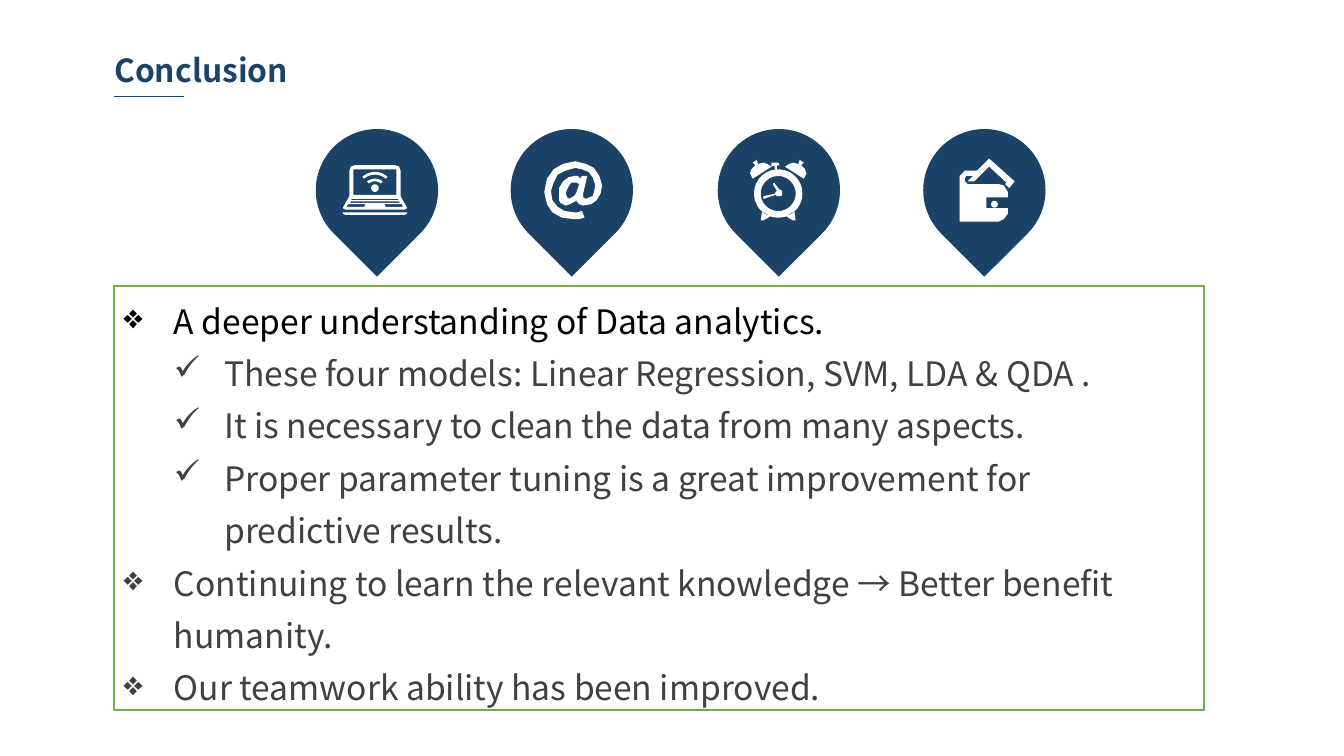
import math

import pptx
import pptx.dml.color
import pptx.enum.shapes
import pptx.enum.text
import pptx.oxml
import pptx.oxml.ns
import pptx.util

Pt = pptx.util.Pt
RGB = pptx.dml.color.RGBColor
SHAPE = pptx.enum.shapes.MSO_SHAPE
ANCHOR = pptx.enum.text.MSO_ANCHOR

NAVY = RGB(0x1B, 0x43, 0x67)
GREEN = RGB(0x70, 0xAD, 0x47)
GREY = RGB(0x40, 0x40, 0x40)
BLACK = RGB(0, 0, 0)
WHITE = RGB(255, 255, 255)
FONT = "Noto Sans CJK SC"
GRID = 0.72  # points per unit of the icon outlines
PIN_TOP, PIN_SIZE = 69.12, 65.5
PIN_LEFTS = (169.2, 273.6, 384.5, 494.6)

POINTS = [
    (0, "A deeper understanding of Data analytics.", BLACK),
    (1, "These four models: Linear Regression, SVM, LDA & QDA .", GREY),
    (1, "It is necessary to clean the data from many aspects.", GREY),
    (1, "Proper parameter tuning is a great improvement for predictive results.", GREY),
    (0, "Continuing to learn the relevant knowledge → Better benefit humanity.", GREY),
    (0, "Our teamwork ability has been improved.", GREY),
]


def arc(x, y, size, start=0, end=360):
    """Return points along an arc; angles in degrees, clockwise from the right."""
    turns = [math.radians(start + (end - start) * i / 48) for i in range(49)]
    return [(x + size * math.cos(t), y + size * math.sin(t)) for t in turns]


def band(x, y, outer, inner, start, end):
    return arc(x, y, outer, start, end) + arc(x, y, inner, end, start)


def flip(outline, axis):
    return [(2 * axis - x, y) for x, y in outline]


def laptop():
    pad = [(23, 58), (24, 56), (37, 56), (36, 58)]
    return [
        [(29, 27), (59, 27), (62, 28), (63, 31), (63, 50), (67, 57), (68, 59), (66, 60),
         (22, 60), (20, 59), (21, 57), (25, 50), (25, 31), (26, 28)],
        [(28, 30), (60, 30), (60, 49), (28, 49)],
        [(27, 52), (61, 52), (62, 53), (26, 53)],
        [(26, 54), (62, 54), (63, 55), (25, 55)],
        pad, flip(pad, 44),
        [(20, 62), (68, 62), (68, 63), (66, 64), (22, 64), (20, 63)],
        arc(44, 44, 2.8),
        band(44, 46, 9, 7, -130, -50),
        band(44, 46, 14, 12, -132, -48),
    ]


def at_sign():
    return [
        [(53, 35), (57, 35), (54, 48), (54, 51), (56, 52), (58, 51), (61, 50), (62, 47),
         (63, 42), (61, 36), (58, 32), (53, 30), (48, 29), (41, 31), (35, 34), (32, 40),
         (30, 46), (31, 53), (35, 58), (40, 61), (47, 62), (50, 62), (53, 61), (55, 66),
         (51, 67), (46, 67), (38, 66), (31, 62), (27, 56), (25, 47), (27, 37), (32, 30),
         (39, 26), (48, 24), (56, 26), (62, 29), (66, 35), (68, 42), (67, 48), (64, 53),
         (60, 56), (54, 57), (51, 56), (49, 54), (49, 52), (48, 54), (46, 55), (44, 56),
         (41, 57), (39, 56), (37, 55), (36, 53), (36, 50), (36, 44), (39, 39), (43, 36),
         (47, 35), (50, 35), (52, 37)],
        [(51, 41), (49, 40), (48, 40), (45, 40), (43, 43), (42, 45), (41, 48), (42, 51),
         (44, 52), (45, 51), (47, 50), (48, 49), (49, 47)],
    ]


def clock():
    bell = [(26, 37), (24, 33), (25, 30), (28, 27), (26, 25), (29, 23), (30, 26),
            (34, 25), (37, 26), (40, 28)]
    leg = [(33, 61), (32, 68), (34, 68), (39, 65)]
    return [
        arc(45, 48, 18), arc(45, 48, 13),
        bell, flip(bell, 45), leg, flip(leg, 45),
        [(43, 31), (42, 27), (40, 28), (40, 25), (45, 25), (46, 27), (44, 27), (44, 30)],
        [(43, 47), (43, 48), (34, 50), (34, 52), (43, 49), (44, 50), (47, 50), (48, 49),
         (48, 46), (46, 45), (42, 40), (41, 41), (44, 46)],
    ]


def wallet():
    return [
        [(33, 41), (56, 41), (60, 42), (63, 47), (63, 51), (47, 51), (47, 59), (63, 59),
         (63, 63), (60, 67), (56, 69), (27, 69), (27, 35), (30, 32), (31, 31), (40, 31),
         (49, 22), (68, 39), (64, 44), (61, 41), (62, 40), (49, 28), (38, 39), (33, 39),
         (37, 35), (32, 35), (31, 37), (31, 39)],
        arc(53, 56, 2.5),
    ]


def paint(shape, fill):
    shape.shadow.inherit = False
    shape.fill.solid()
    shape.fill.fore_color.rgb = fill
    shape.line.fill.background()


def style(para, size, color, bold=False):
    for run in para.runs:
        font = run.font
        font.name, font.size, font.bold = FONT, Pt(size), bold
        font.color.rgb = color


def inset(frame, side, edge):
    frame.margin_left = frame.margin_right = Pt(side)
    frame.margin_top = frame.margin_bottom = Pt(edge)


def add_title(slide):
    title = slide.shapes.title
    title.left, title.top, title.width, title.height = Pt(56.2), Pt(24.5), Pt(178), Pt(26)
    frame = title.text_frame
    frame.text = "Conclusion"
    frame.auto_size = pptx.enum.text.MSO_AUTO_SIZE.NONE
    frame.vertical_anchor = ANCHOR.MIDDLE
    inset(frame, 5, 3)
    para = frame.paragraphs[0]
    para.alignment = pptx.enum.text.PP_ALIGN.LEFT
    style(para, 17, NAVY, True)


def add_rule(slide):
    rule = slide.shapes.add_connector(
        pptx.enum.shapes.MSO_CONNECTOR.STRAIGHT, Pt(61.2), Pt(51.8), Pt(98.6), Pt(51.8))
    rule.line.color.rgb = NAVY
    rule.line.width = Pt(0.75)
    pptx.oxml.ns.qn("a:effectLst")
    rule._element.spPr.append(pptx.oxml.parse_xml(
        '<a:effectLst xmlns:a="http://schemas.openxmlformats.org/drawingml/2006/main"/>'))


def add_pin(slide, left, icon):
    pin = slide.shapes.add_shape(
        SHAPE.TEAR, Pt(left), Pt(PIN_TOP), Pt(PIN_SIZE), Pt(PIN_SIZE))
    pin.rotation = 135
    paint(pin, NAVY)
    fine = [[(x * 10, y * 10) for x, y in outline] for outline in icon]
    pen = slide.shapes.build_freeform(*fine[0][0], scale=Pt(GRID) / 10)
    pen.add_line_segments(fine[0][1:])
    for outline in fine[1:]:
        pen.move_to(*outline[0])
        pen.add_line_segments(outline[1:])
    paint(pen.convert_to_shape(Pt(left), Pt(PIN_TOP)), WHITE)


def add_bullet(para, mark, indent):
    props = para._p.get_or_add_pPr()
    props.set("marL", str(Pt(indent)))
    props.set("indent", str(-Pt(27)))
    bullet = props.makeelement(pptx.oxml.ns.qn("a:buChar"), {"char": mark})
    props.append(bullet)


def add_points(slide):
    box = slide.shapes.add_shape(SHAPE.RECTANGLE, Pt(61.2), Pt(153.4), Pt(584), Pt(226.8))
    paint(box, WHITE)
    box.line.color.rgb = GREEN
    box.line.width = Pt(1)
    frame = box.text_frame
    frame.word_wrap = True
    frame.vertical_anchor = ANCHOR.MIDDLE
    inset(frame, 5, 0)
    frame.text = "\n".join(text for _, text, _ in POINTS)
    for para, (level, _, color) in zip(frame.paragraphs, POINTS):
        para.level = level
        para.alignment = pptx.enum.text.PP_ALIGN.LEFT
        para.line_spacing = 1.3
        add_bullet(para, "❖✓"[level], 27 * (level + 1))
        style(para, 18, color)


def main():
    deck = pptx.Presentation()
    deck.slide_width, deck.slide_height = Pt(720), Pt(405)
    slide = deck.slides.add_slide(deck.slide_layouts[5])
    add_points(slide)
    add_title(slide)
    add_rule(slide)
    for left, icon in zip(PIN_LEFTS, (laptop(), at_sign(), clock(), wallet())):
        add_pin(slide, left, icon)
    deck.save("out.pptx")


if __name__ == "__main__":
    main()
